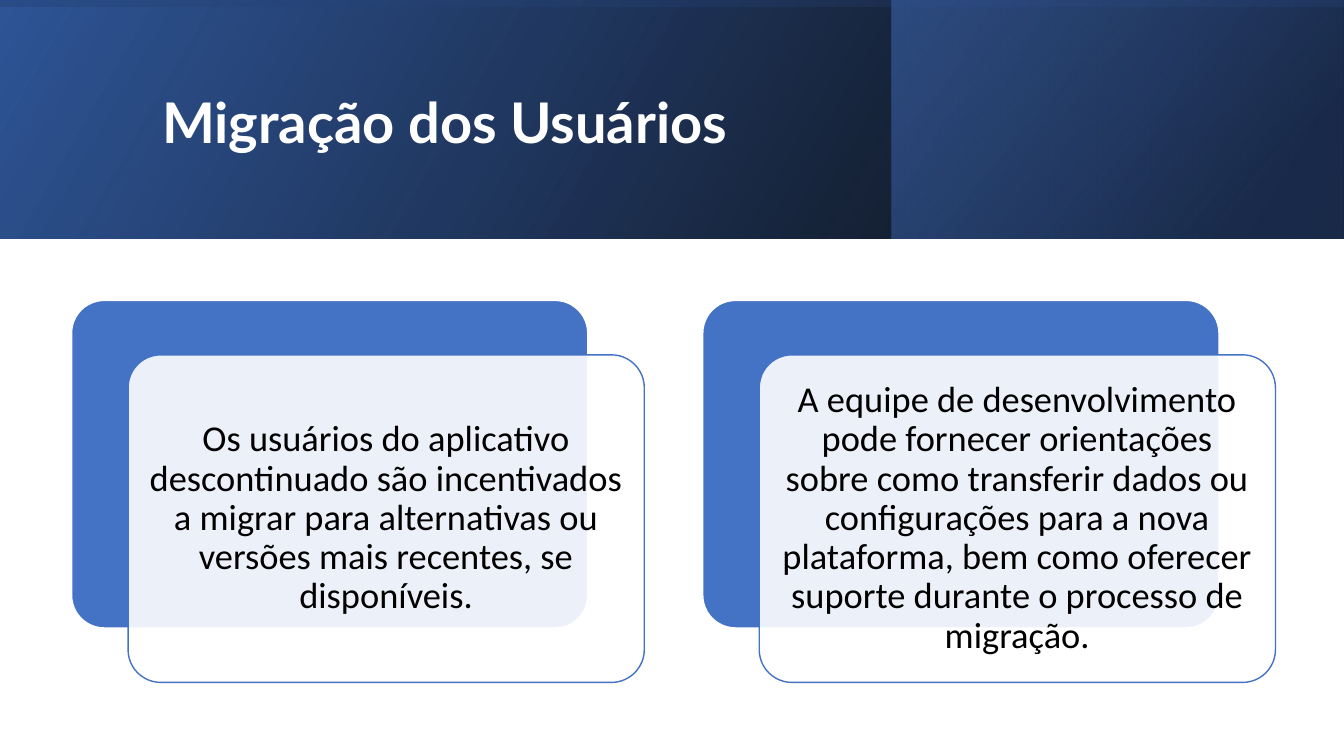
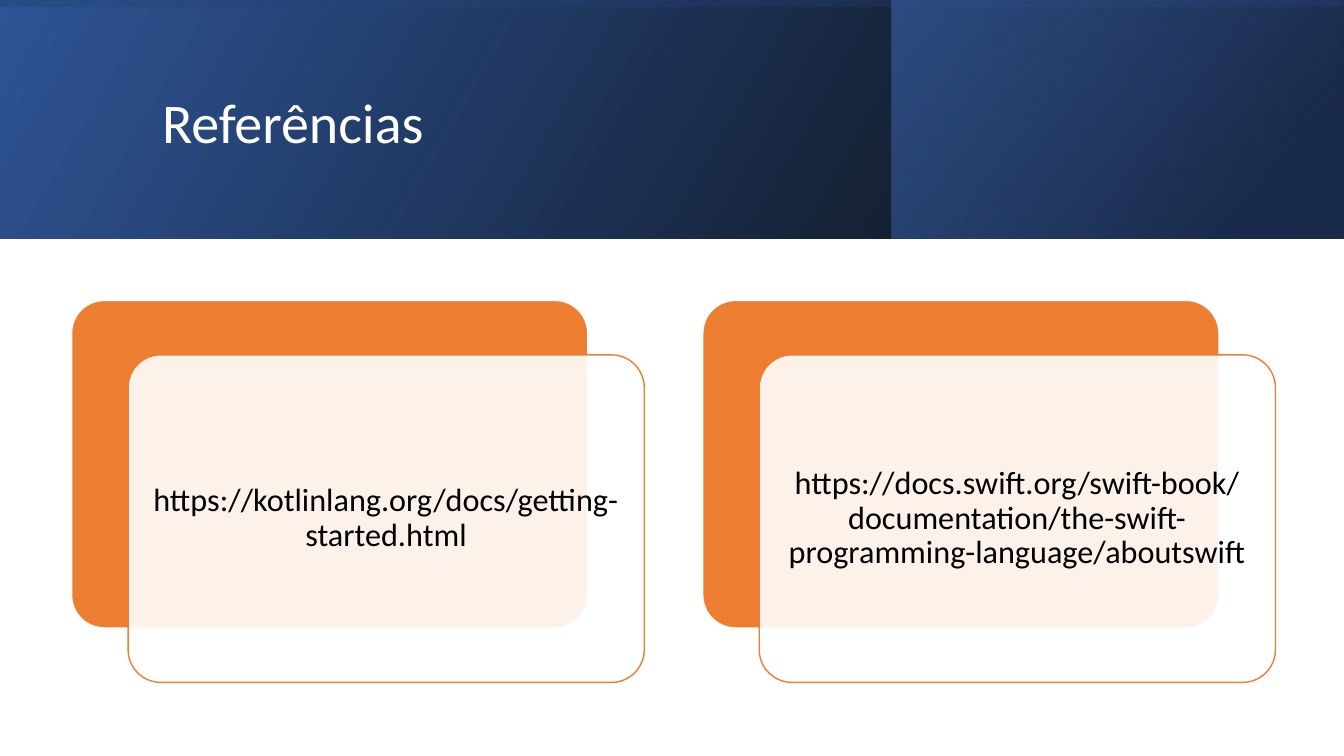
from lxml.etree import SubElement
from pptx import Presentation
from pptx.dml.color import RGBColor
from pptx.enum.shapes import MSO_SHAPE
from pptx.enum.text import MSO_ANCHOR, PP_ALIGN
from pptx.oxml.ns import qn
from pptx.util import Inches, Pt

COLORS = {
    "white": "FFFFFF",
    "black": "000000",
    "navy": "203864",
    "deep_blue": "2F5597",
    "blue": "4472C4",
    "orange": "ED7D31",
}

# Header layers: left, top, width, height, rotation, angle, (position, color, opacity)
BANDS = [
    (0, 0, 13.33, 2.37, 0, 330, [(0, "black", 96), (100, "deep_blue", 100)]),
    (8.84, 0, 4.48, 2.37, 0, 320, [(19, "navy", 68), (100, "blue", 48)]),
    (5.48, -5.48, 2.37, 13.33, 270, 350, [(23, "deep_blue", 16), (99, "black", 45)]),
]

PAGES = [
    {
        "title": "Migração dos Usuários",
        "title_font": {"name": "Lato", "size": Pt(40), "bold": True},
        "accent": "blue",
        "body_size": 26,
        "inset": 0.11,
        "cards": [
            "Os usuários do aplicativo descontinuado são incentivados a migrar "
            "para alternativas ou versões mais recentes, se disponíveis.",
            "A equipe de desenvolvimento pode fornecer orientações sobre como "
            "transferir dados ou configurações para a nova plataforma, bem como "
            "oferecer suporte durante o processo de migração.",
        ],
    },
    {
        "title": "Referências",
        "title_font": {"name": "Calibri", "size": Pt(40), "bold": False},
        "accent": "orange",
        "body_size": 23,
        "inset": 0.1,
        "cards": [
            "https://kotlinlang.org/docs/getting-started.html",
            "https://docs.swift.org/swift-book/documentation/"
            "the-swift-programming-language/aboutswift",
        ],
    },
]

CARD_LEFT, CARD_TOP, CARD_PITCH = 0.71, 2.98, 6.26
CARD_WIDTH, CARD_HEIGHT = 5.12, 3.25
FRONT_SHIFT_X, FRONT_SHIFT_Y = 0.56, 0.54


def add_panel(page, kind, left, top, width, height, fill, line=None):
    panel = page.shapes.add_shape(
        kind, Inches(left), Inches(top), Inches(width), Inches(height))
    panel.shadow.inherit = False
    panel.fill.solid()
    panel.fill.fore_color.rgb = RGBColor.from_string(COLORS[fill])
    if line:
        panel.line.color.rgb = RGBColor.from_string(COLORS[line])
        panel.line.width = Pt(1)
        panel.adjustments[0] = 0.1
    else:
        panel.line.fill.background()
    return panel


def write_text(box, text, font, color, align):
    frame = box.text_frame
    frame.word_wrap = True
    frame.vertical_anchor = MSO_ANCHOR.MIDDLE
    para = frame.paragraphs[0]
    para.alignment = align
    para.line_spacing = 0.9
    span = para.add_run()
    span.text = text
    for name, value in font.items():
        setattr(span.font, name, value)
    span.font.color.rgb = RGBColor.from_string(COLORS[color])


deck = Presentation()
deck.slide_width = Inches(13.33)
deck.slide_height = Inches(7.5)

for content in PAGES:
    page = deck.slides.add_slide(deck.slide_layouts[6])

    # Gradient header, mirrored horizontally
    for left, top, width, height, rotation, angle, stops in BANDS:
        band = add_panel(page, MSO_SHAPE.RECTANGLE, left, top, width, height, "navy")
        band.rotation = rotation
        properties = band._element.spPr
        properties.find(qn("a:xfrm")).set("flipH", "1")
        solid = properties.find(qn("a:solidFill"))
        gradient = properties.makeelement(qn("a:gradFill"))
        properties.replace(solid, gradient)
        stop_list = SubElement(gradient, qn("a:gsLst"))
        for position, color, opacity in stops:
            stop = SubElement(stop_list, qn("a:gs"), pos=str(position * 1000))
            tint = SubElement(stop, qn("a:srgbClr"), val=COLORS[color])
            SubElement(tint, qn("a:alpha"), val=str(opacity * 1000))
        SubElement(gradient, qn("a:lin"), ang=str(angle * 60000), scaled="0")

    # Title
    title = page.shapes.add_textbox(
        Inches(1.51), Inches(0.38), Inches(10.63), Inches(1.72))
    write_text(title, content["title"], content["title_font"], "white", PP_ALIGN.LEFT)

    # Cards: solid back plate and translucent front plate with the text
    body_font = {"name": "Calibri", "size": Pt(content["body_size"])}
    for index, text in enumerate(content["cards"]):
        left = CARD_LEFT + index * CARD_PITCH
        add_panel(page, MSO_SHAPE.ROUNDED_RECTANGLE, left, CARD_TOP,
                  CARD_WIDTH, CARD_HEIGHT, content["accent"], "white")
        front = add_panel(page, MSO_SHAPE.ROUNDED_RECTANGLE,
                          left + FRONT_SHIFT_X, CARD_TOP + FRONT_SHIFT_Y,
                          CARD_WIDTH, CARD_HEIGHT, "white", content["accent"])
        tint = front._element.spPr.find(qn("a:solidFill")).find(qn("a:srgbClr"))
        SubElement(tint, qn("a:alpha"), val="90000")
        for side in ("left", "top", "right", "bottom"):
            setattr(front.text_frame, f"margin_{side}", Inches(content["inset"]))
        write_text(front, text, body_font, "black", PP_ALIGN.CENTER)

deck.save("out.pptx")
